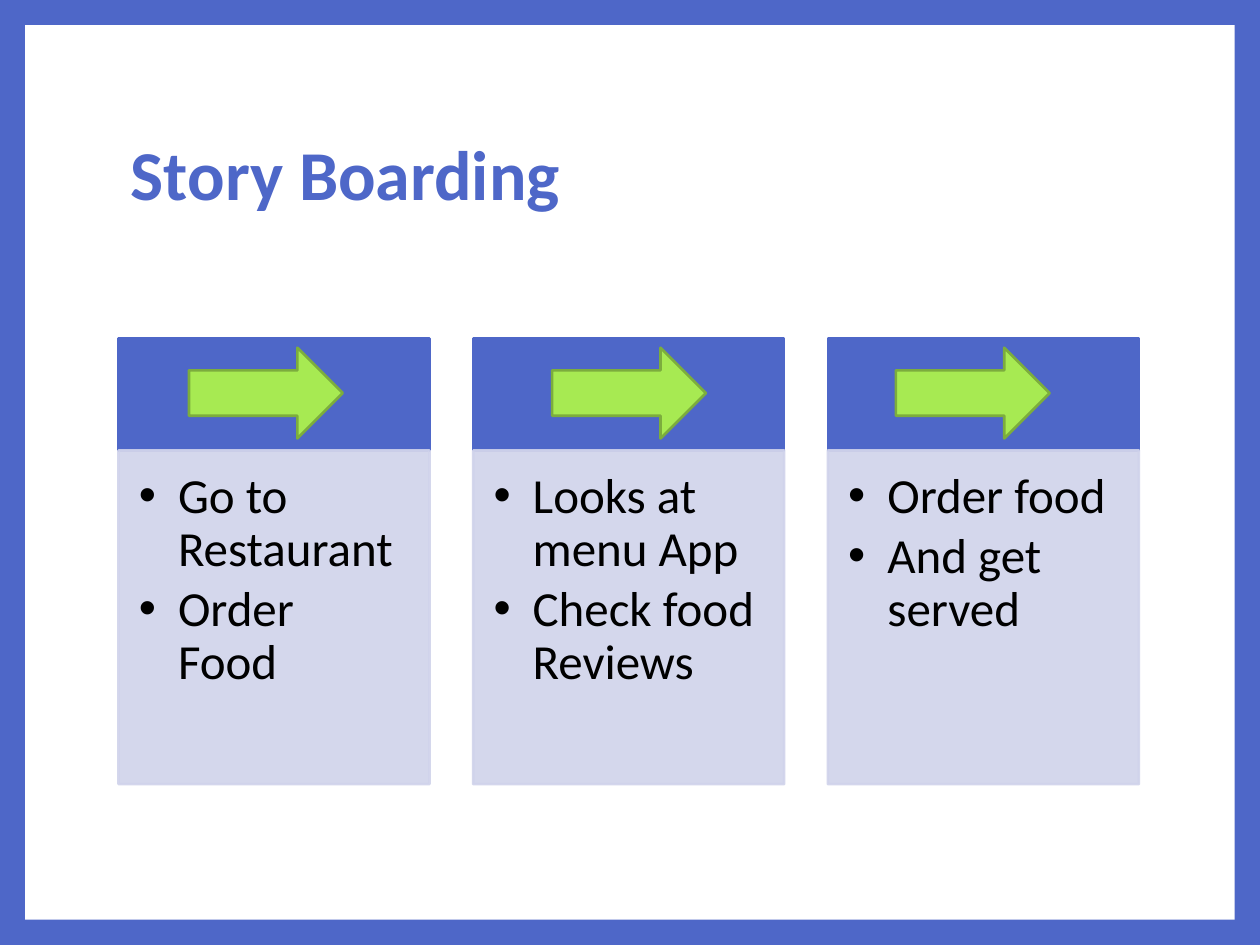
from dataclasses import dataclass

from lxml import etree
from pptx import Presentation
from pptx import util as u
from pptx.dml.color import RGBColor
from pptx.enum import shapes, text
from pptx.oxml.ns import qn


@dataclass(frozen=True)
class Theme:
    font: str = "Calibri"
    blue: str = "4E67C8"
    pale: str = "D0D3EB"
    green: str = "A7EA52"
    dark_green: str = "7CAD3D"
    white: str = "FFFFFF"
    black: str = "000000"
    title_size: int = 40
    body_size: int = 28
    line_width: float = 1.5


THEME = Theme()

# Each step: left edge of its arrow in cm, then its bullets
STEPS = [
    (3.81, ["Go to Restaurant", "Order Food"]),
    (11.13, ["Looks at menu App", "Check food Reviews"]),
    (18.06, ["Order food", "And get served"]),
]
COLUMN_LEFT, COLUMN_PITCH, COLUMN_WIDTH = 2.39, 7.15, 6.27
HEADER_TOP, HEADER_HEIGHT, PANEL_HEIGHT = 6.83, 2.25, 6.73


def place(left, top, width, height):
    return [u.Cm(value) for value in (left, top, width, height)]


def add_block(page, kind, area, fill, line=None, opacity=None):
    block = page.shapes.add_shape(kind, *place(*area))
    block.shadow.inherit = False
    block.fill.solid()
    block.fill.fore_color.rgb = RGBColor.from_string(fill)
    if line:
        block.line.color.rgb = RGBColor.from_string(line)
        block.line.width = u.Pt(THEME.line_width)
    else:
        block.line.fill.background()
    if opacity:
        for color in block.element.spPr.iter(qn("a:srgbClr")):
            etree.SubElement(color, qn("a:alpha"), val=str(opacity * 1000))
    return block


def style_paragraph(para, size, color, bold=False):
    para.alignment = text.PP_ALIGN.LEFT
    para.line_spacing = 0.9
    for span in para.runs:
        span.font.name = THEME.font
        span.font.size = u.Pt(size)
        span.font.bold = bold
        span.font.color.rgb = RGBColor.from_string(color)


def add_bullet(para):
    props = para._p.get_or_add_pPr()
    props.set("marL", str(u.Cm(0.79)))
    props.set("indent", str(-u.Cm(0.79)))
    etree.SubElement(props, qn("a:buFont"), typeface="Arial")
    etree.SubElement(props, qn("a:buChar"), char="•")


def add_title(page, wording):
    box = page.shapes.add_textbox(*place(2.39, 1.7, 20.57, 3.76))
    frame = box.text_frame
    frame.word_wrap = True
    frame.vertical_anchor = text.MSO_ANCHOR.MIDDLE
    frame.text = wording
    style_paragraph(frame.paragraphs[0], THEME.title_size, THEME.blue, bold=True)


def add_step(page, left, bullets):
    rectangle = shapes.MSO_SHAPE.RECTANGLE
    add_block(page, rectangle, (left, HEADER_TOP, COLUMN_WIDTH, HEADER_HEIGHT),
              THEME.blue, THEME.blue)
    panel = add_block(page, rectangle,
                      (left, HEADER_TOP + HEADER_HEIGHT, COLUMN_WIDTH, PANEL_HEIGHT),
                      THEME.pale, THEME.pale, opacity=90)
    frame = panel.text_frame
    frame.vertical_anchor = text.MSO_ANCHOR.TOP
    frame.margin_left = frame.margin_top = u.Cm(0.41)
    frame.margin_right, frame.margin_bottom = u.Cm(0.56), u.Cm(0.61)
    frame.text = "\n".join(bullets)
    for para in frame.paragraphs:
        para.level = 1
        style_paragraph(para, THEME.body_size, THEME.black)
        para.space_after = u.Pt(4.2)
        add_bullet(para)


def main():
    deck = Presentation()
    deck.slide_width, deck.slide_height = u.Cm(25.4), u.Cm(19.05)
    page = deck.slides.add_slide(deck.slide_layouts[6])

    # Blue frame around a white sheet
    page.background.fill.solid()
    page.background.fill.fore_color.rgb = RGBColor.from_string(THEME.blue)
    add_block(page, shapes.MSO_SHAPE.RECTANGLE, (0.51, 0.51, 24.38, 18.03), THEME.white)

    add_title(page, "Story Boarding")

    # Storyboard columns, each with an arrow on its header
    for index, (arrow_left, bullets) in enumerate(STEPS):
        add_step(page, COLUMN_LEFT + index * COLUMN_PITCH, bullets)
        add_block(page, shapes.MSO_SHAPE.RIGHT_ARROW, (arrow_left, 7.01, 3.1, 1.83),
                  THEME.green, THEME.dark_green)

    deck.save("out.pptx")


if __name__ == "__main__":
    main()
